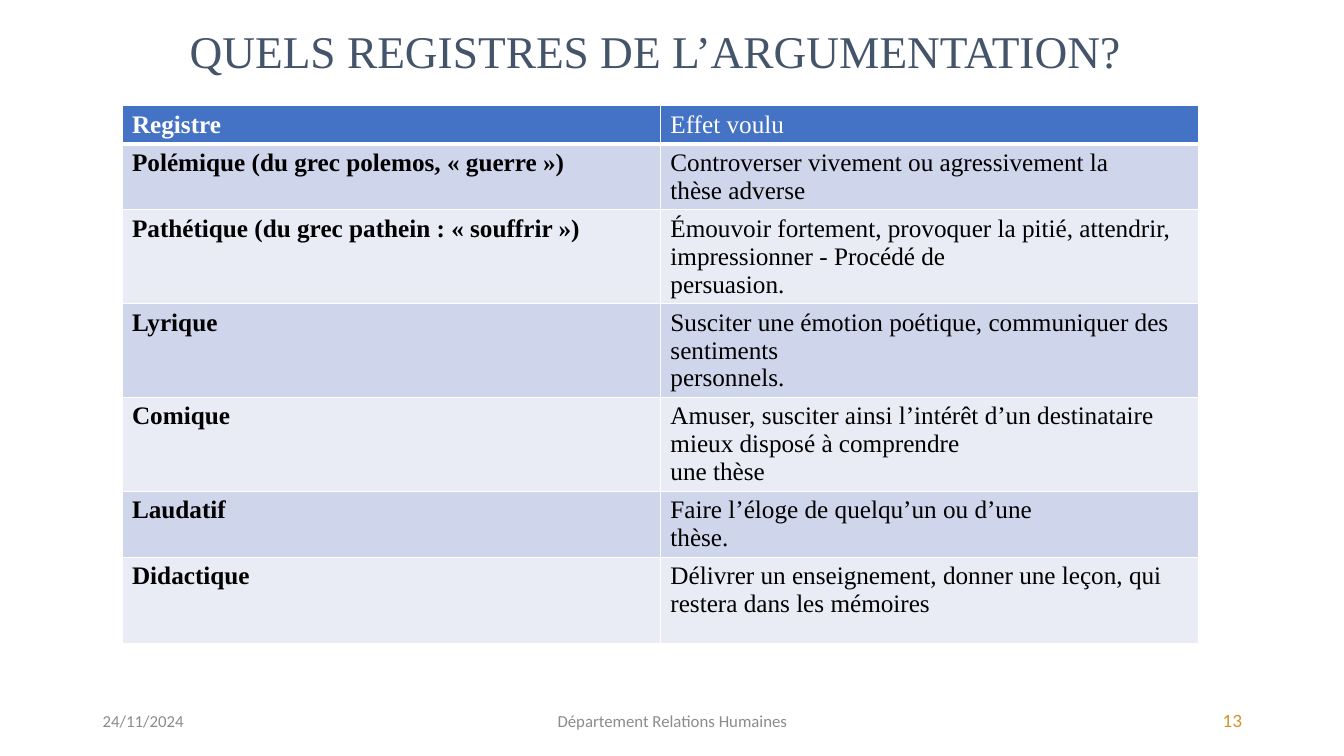
from dataclasses import dataclass

from lxml.etree import SubElement
from pptx import Presentation
from pptx.dml.color import RGBColor
from pptx.enum.text import MSO_ANCHOR, MSO_AUTO_SIZE, PP_ALIGN
from pptx.oxml.ns import qn
from pptx.slide import Slide
from pptx.table import _Cell
from pptx.text.text import _Paragraph
from pptx.util import Emu, Pt

EMU_PER_PX = 9144  # 100 px to the inch


@dataclass(frozen=True)
class Theme:
    title: str = "44546A"
    header: str = "4472C4"
    odd_band: str = "CFD5EA"
    even_band: str = "E9EBF5"
    white: str = "FFFFFF"
    black: str = "000000"
    footer: str = "8C8C8C"
    page_number: str = "D38E27"
    serif: str = "Times New Roman"
    sans: str = "Calibri"
    number_font: str = "Lato"
    title_size: float = 32.4
    table_size: float = 18
    footer_size: float = 12


@dataclass(frozen=True)
class Register:
    name: str
    effect: str
    height: int


@dataclass(frozen=True)
class FooterItem:
    text: str
    left: int
    width: int
    align: PP_ALIGN
    font: str
    color: str


THEME = Theme()
REGISTERS = [
    Register("Registre", "Effet voulu", 35),
    Register("Polémique (du grec polemos, « guerre »)",
             "Controverser vivement ou agressivement la\nthèse adverse", 60),
    Register("Pathétique (du grec pathein : « souffrir »)",
             "Émouvoir fortement, provoquer la pitié, attendrir, "
             "impressionner - Procédé de\npersuasion.", 86),
    Register("Lyrique",
             "Susciter une émotion poétique, communiquer des sentiments\n"
             "personnels.", 86),
    Register("Comique",
             "Amuser, susciter ainsi l’intérêt d’un destinataire "
             "mieux disposé à comprendre\nune thèse", 86),
    Register("Laudatif", "Faire l’éloge de quelqu’un ou d’une\nthèse.", 60),
    Register("Didactique",
             "Délivrer un enseignement, donner une leçon, "
             "qui restera dans les mémoires", 86),
]
FOOTER = [
    FooterItem("24/11/2024", 92, 300, PP_ALIGN.LEFT, THEME.sans, THEME.footer),
    FooterItem("Département Relations Humaines", 442, 450, PP_ALIGN.CENTER,
               THEME.sans, THEME.footer),
    FooterItem("13", 942, 300, PP_ALIGN.RIGHT, THEME.number_font, THEME.page_number),
]


def px(length: int) -> Emu:
    return Emu(length * EMU_PER_PX)


def style(paragraph: _Paragraph, font: str, size: float, color: str,
          bold: bool = False) -> None:
    paragraph.font.name = font
    paragraph.font.size = Pt(size)
    paragraph.font.bold = bold
    paragraph.font.color.rgb = RGBColor.from_string(color)


def add_title(slide: Slide, text: str) -> None:
    title = slide.shapes.title
    title.left, title.top, title.width, title.height = map(px, (178, 11, 977, 85))
    frame = title.text_frame
    frame.text = text
    frame.auto_size = MSO_AUTO_SIZE.NONE
    frame.vertical_anchor = MSO_ANCHOR.MIDDLE
    heading = frame.paragraphs[0]
    heading.alignment = PP_ALIGN.LEFT
    heading.line_spacing = 0.9
    style(heading, THEME.serif, THEME.title_size, THEME.title)


def add_borders(cell: _Cell, bottom_width: int) -> None:
    """Draw white cell borders; call before filling, as lines precede the fill."""
    properties = cell._tc.get_or_add_tcPr()
    for side, width in (("L", 1), ("R", 1), ("T", 1), ("B", bottom_width)):
        line = SubElement(properties, qn(f"a:ln{side}"), w=str(Pt(width)))
        fill = SubElement(line, qn("a:solidFill"))
        SubElement(fill, qn("a:srgbClr"), val=THEME.white)


def fill_cell(cell: _Cell, text: str, row: int, bold: bool) -> None:
    is_header = row == 0
    add_borders(cell, 3 if is_header else 1)
    band = THEME.odd_band if row % 2 else THEME.even_band
    cell.fill.solid()
    cell.fill.fore_color.rgb = RGBColor.from_string(THEME.header if is_header else band)
    cell.text = text
    for paragraph in cell.text_frame.paragraphs:
        style(paragraph, THEME.serif, THEME.table_size,
              THEME.white if is_header else THEME.black, bold)


def add_register_table(slide: Slide) -> None:
    height = sum(register.height for register in REGISTERS)
    table = slide.shapes.add_table(len(REGISTERS), 2, px(121), px(105),
                                   px(1068), px(height)).table
    for row, register in enumerate(REGISTERS):
        table.rows[row].height = px(register.height)
        fill_cell(table.cell(row, 0), register.name, row, bold=True)
        fill_cell(table.cell(row, 1), register.effect, row, bold=False)


def add_footer_item(slide: Slide, item: FooterItem) -> None:
    frame = slide.shapes.add_textbox(px(item.left), px(695), px(item.width),
                                     px(40)).text_frame
    frame.word_wrap = True
    frame.vertical_anchor = MSO_ANCHOR.MIDDLE
    frame.text = item.text
    paragraph = frame.paragraphs[0]
    paragraph.alignment = item.align
    style(paragraph, item.font, THEME.footer_size, item.color)


def main() -> None:
    presentation = Presentation()
    presentation.slide_width, presentation.slide_height = px(1333), px(750)
    slide = presentation.slides.add_slide(presentation.slide_layouts[5])
    add_title(slide, "QUELS REGISTRES DE L’ARGUMENTATION?")
    add_register_table(slide)
    for item in FOOTER:
        add_footer_item(slide, item)
    presentation.save("out.pptx")


if __name__ == "__main__":
    main()
